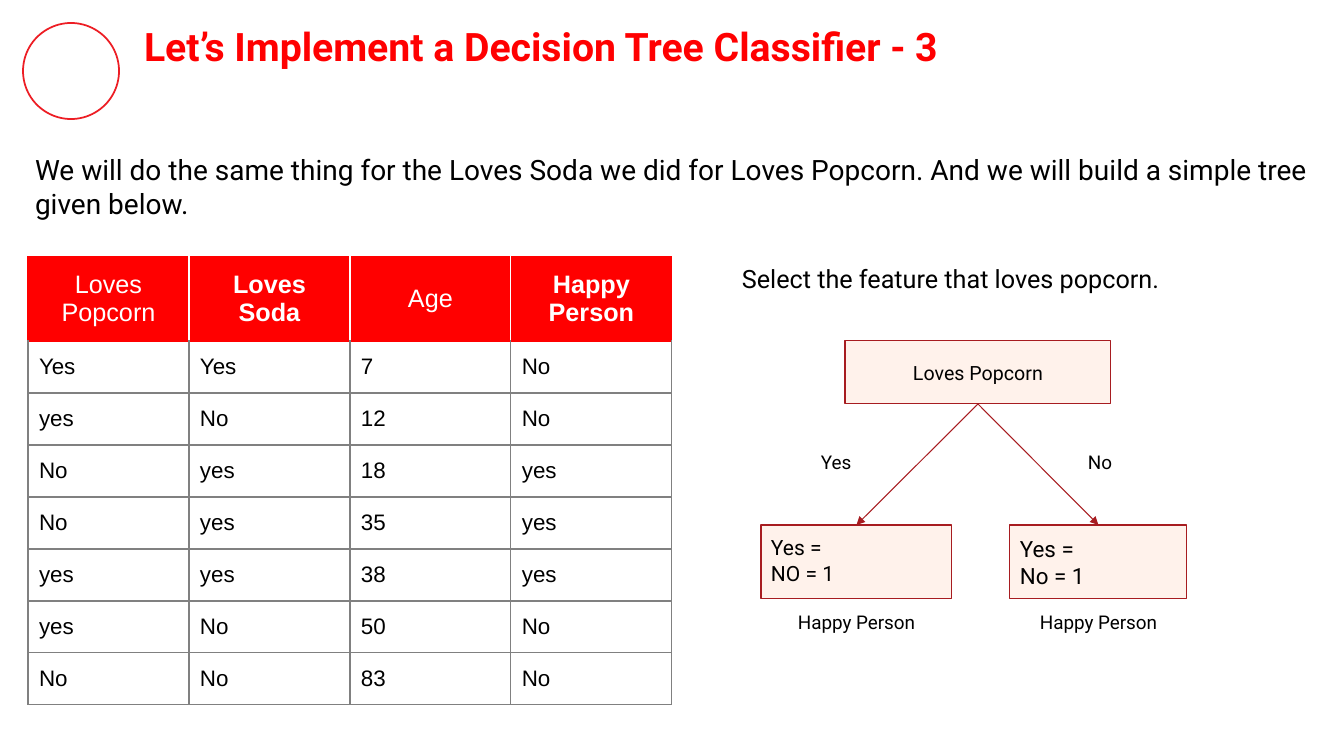
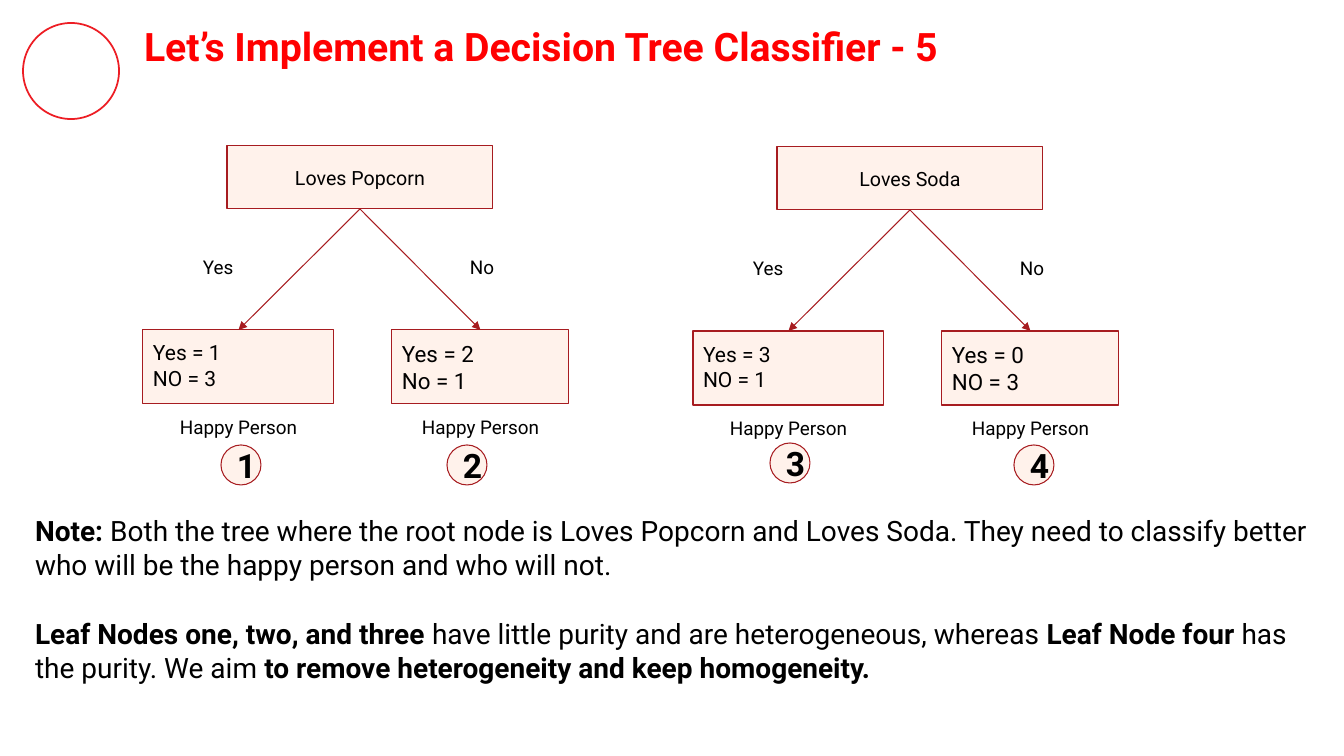
import pptx
import pptx.util
import pptx.dml.color
import pptx.enum.shapes
import pptx.enum.text
import pptx.oxml
import pptx.oxml.ns
import lxml.etree

EMU_PER_PX = 914400 / 100.8
SLIDE_SIZE = (1344, 756)
INSET = 10
COLORS = {
    "title": "FF0001",
    "ring": "ED1D24",
    "text": "000000",
    "node": "FFF2EB",
    "node_line": "A71C20",
    "header": "FF0000",
    "white": "FFFFFF",
    "grid": "808080",
}
ALIGN = pptx.enum.text.PP_ALIGN
ANCHOR = pptx.enum.text.MSO_ANCHOR
SHAPE = pptx.enum.shapes.MSO_SHAPE

HEADERS = ["Loves Popcorn", "**Loves\nSoda**", "Age", "**Happy Person**"]
ROWS = [
    ("Yes", "Yes", "7", "No"),
    ("yes", "No", "12", "No"),
    ("No", "yes", "18", "yes"),
    ("No", "yes", "35", "yes"),
    ("yes", "yes", "38", "yes"),
    ("yes", "No", "50", "No"),
    ("No", "No", "83", "No"),
]


def px(length):
    return pptx.util.Emu(round(length * EMU_PER_PX))


def box_px(*lengths):
    return [px(length) for length in lengths]


def color(name):
    return pptx.dml.color.RGBColor.from_string(COLORS[name])


def write_text(frame, text, size=20, font="Roboto", fill="text", align=ALIGN.LEFT,
               anchor=ANCHOR.TOP, line_spacing=None, space_after=None):
    """Write one paragraph per line; ** switches bold on and off."""
    frame.word_wrap = True
    frame.vertical_anchor = anchor
    bold = False
    for number, line in enumerate(text.split("\n")):
        paragraph = frame.add_paragraph() if number else frame.paragraphs[0]
        paragraph.alignment = align
        if line_spacing:
            paragraph.line_spacing = line_spacing
        if space_after:
            paragraph.space_after = pptx.util.Pt(space_after)
        for part_number, part in enumerate(line.split("**")):
            if part_number:
                bold = not bold
            if part:
                run = paragraph.add_run()
                run.text = part
                run.font.name = font
                run.font.size = pptx.util.Pt(size)
                run.font.bold = bold
                run.font.color.rgb = color(fill)


def set_insets(frame):
    frame.margin_left = frame.margin_right = px(INSET)
    frame.margin_top = frame.margin_bottom = px(INSET)


def add_text(slide, box, text, **text_format):
    shape = slide.shapes.add_textbox(*box_px(*box))
    set_insets(shape.text_frame)
    write_text(shape.text_frame, text, **text_format)


def add_node(slide, box, text, kind=SHAPE.RECTANGLE, **text_format):
    shape = slide.shapes.add_shape(kind, *box_px(*box))
    shape.shadow.inherit = False
    shape.fill.solid()
    shape.fill.fore_color.rgb = color("node")
    shape.line.color.rgb = color("node_line")
    shape.line.width = pptx.util.Pt(0.75)
    set_insets(shape.text_frame)
    write_text(shape.text_frame, text, **text_format)
    return shape


def add_arrow(slide, parent, child):
    """Join the bottom of the parent to the top of the child."""
    connector = slide.shapes.add_connector(
        pptx.enum.shapes.MSO_CONNECTOR.STRAIGHT, 0, 0, 0, 0)
    connector.begin_connect(parent, 2)
    connector.end_connect(child, 0)
    connector.line.color.rgb = color("node_line")
    connector.line.width = pptx.util.Pt(0.75)
    qn = pptx.oxml.ns.qn
    properties = connector.element.spPr
    lxml.etree.SubElement(properties.find(qn("a:ln")), qn("a:tailEnd"), type="triangle")
    lxml.etree.SubElement(properties, qn("a:effectLst"))


def add_tree(slide, left, top, root_text, leaf_texts):
    root = add_node(slide, (left + 84, top, 266, 63), root_text, size=14,
                    align=ALIGN.CENTER, anchor=ANCHOR.MIDDLE)
    # Branch label, label offset, leaf offset, leaf width, caption overhang, leaf text size
    branches = [("Yes", 50, 0, 191, 4, 15), ("No", 317, 249, 177, 0, 16)]
    for branch, leaf_text in zip(branches, leaf_texts):
        label, label_x, leaf_x, width, overhang, size = branch
        leaf = add_node(slide, (left + leaf_x, top + 184, width, 74), leaf_text, size=size)
        add_arrow(slide, root, leaf)
        small = {"size": 13.5, "line_spacing": 0.8}
        add_text(slide, (left + label_x, top + 105, 70, 38), label, **small)
        caption_box = (left + leaf_x - overhang, top + 265, width + 2 * overhang, 38)
        add_text(slide, caption_box, "Happy Person", align=ALIGN.CENTER, **small)


def set_borders(cell, left, right, top, bottom):
    properties = cell._tc.get_or_add_tcPr()
    for side, name in zip("LRTB", (left, right, top, bottom)):
        properties.append(pptx.oxml.parse_xml(
            f'<a:ln{side} {pptx.oxml.ns.nsdecls("a")} w="12700"><a:solidFill>'
            f'<a:srgbClr val="{COLORS[name]}"/></a:solidFill></a:ln{side}>'))


def add_data_table(slide, left, top, column_width, header_height, row_height):
    columns = len(HEADERS)
    height = header_height + row_height * len(ROWS)
    table = slide.shapes.add_table(
        len(ROWS) + 1, columns,
        *box_px(left, top, column_width * columns, height)).table
    table.first_row = table.horz_banding = False
    for column in table.columns:
        column.width = px(column_width)
    for row_number, texts in enumerate([HEADERS, *ROWS]):
        is_header = row_number == 0
        table.rows[row_number].height = px(header_height if is_header else row_height)
        for column_number, text in enumerate(texts):
            cell = table.cell(row_number, column_number)
            cell.margin_left = cell.margin_right = px(11)
            cell.margin_top = cell.margin_bottom = px(11)
            if is_header:
                set_borders(cell,
                            "white" if column_number else "header",
                            "white" if column_number < columns - 1 else "header",
                            "header", "header")
                cell.fill.solid()
                cell.fill.fore_color.rgb = color("header")
                look = {"size": 18, "fill": "white", "align": ALIGN.CENTER}
            else:
                set_borders(cell, "grid", "grid",
                            "header" if row_number == 1 else "grid", "grid")
                cell.fill.background()
                look = {"size": 16}
            write_text(cell.text_frame, text, font="Arial", **look)
            cell.vertical_anchor = ANCHOR.MIDDLE


def add_body(slide, top, text):
    add_text(slide, (25, top, 1294, 105), text, anchor=ANCHOR.MIDDLE, space_after=12)


def add_slide(presentation, title):
    """Add a slide with the shared ring and title."""
    slide = presentation.slides.add_slide(presentation.slide_layouts[6])
    ring = slide.shapes.add_shape(SHAPE.OVAL, *box_px(23, 23, 96, 96))
    ring.shadow.inherit = False
    ring.fill.background()
    ring.line.color.rgb = color("ring")
    ring.line.width = pptx.util.Pt(1.25)
    add_text(slide, (134, 12, 1127, 68), f"**{title}**", size=28, fill="title")
    return slide


def build_table_slide(presentation):
    slide = add_slide(presentation, "Let’s Implement a Decision Tree Classifier - 3")
    add_body(slide, 134, "We will do the same thing for the Loves Soda we did for Loves "
                         "Popcorn. And we will build a simple tree given below.")
    add_data_table(slide, 28, 257, column_width=161, header_height=84, row_height=52)
    add_text(slide, (732, 257, 544, 48), "Select the feature that loves popcorn.",
             size=18, line_spacing=0.9)
    add_tree(slide, 761, 341, "Loves Popcorn", ["Yes =\nNO = 1", "Yes =\nNo = 1"])


def build_comparison_slide(presentation):
    slide = add_slide(presentation, "Let’s Implement a Decision Tree Classifier - 5")
    add_tree(slide, 143, 146, "Loves Popcorn", ["Yes = 1\nNO = 3", "Yes = 2\nNo = 1"])
    add_tree(slide, 693, 147, "Loves Soda", ["Yes = 3\nNO = 1", "Yes = 0\nNO = 3"])
    # Numbered leaf markers
    markers = [(221, 445), (447, 445), (770, 443), (1014, 445)]
    for number, (left, top) in enumerate(markers, start=1):
        add_node(slide, (left, top, 40, 40), f"**{number}**",
                 kind=SHAPE.FLOWCHART_CONNECTOR, size=24,
                 align=ALIGN.CENTER, anchor=ANCHOR.MIDDLE)
    add_body(slide, 495, "**Note: **Both the tree where the root node is Loves Popcorn and "
                         "Loves Soda. They need to classify better who will be the happy "
                         "person and who will not.")
    add_body(slide, 598, "**Leaf Nodes one, two, and three **have little purity and are "
                         "heterogeneous, whereas **Leaf Node four **has the purity. We aim "
                         "**to remove heterogeneity and keep homogeneity.**")


def main():
    presentation = pptx.Presentation()
    presentation.slide_width, presentation.slide_height = box_px(*SLIDE_SIZE)
    build_table_slide(presentation)
    build_comparison_slide(presentation)
    presentation.save("out.pptx")


if __name__ == "__main__":
    main()
